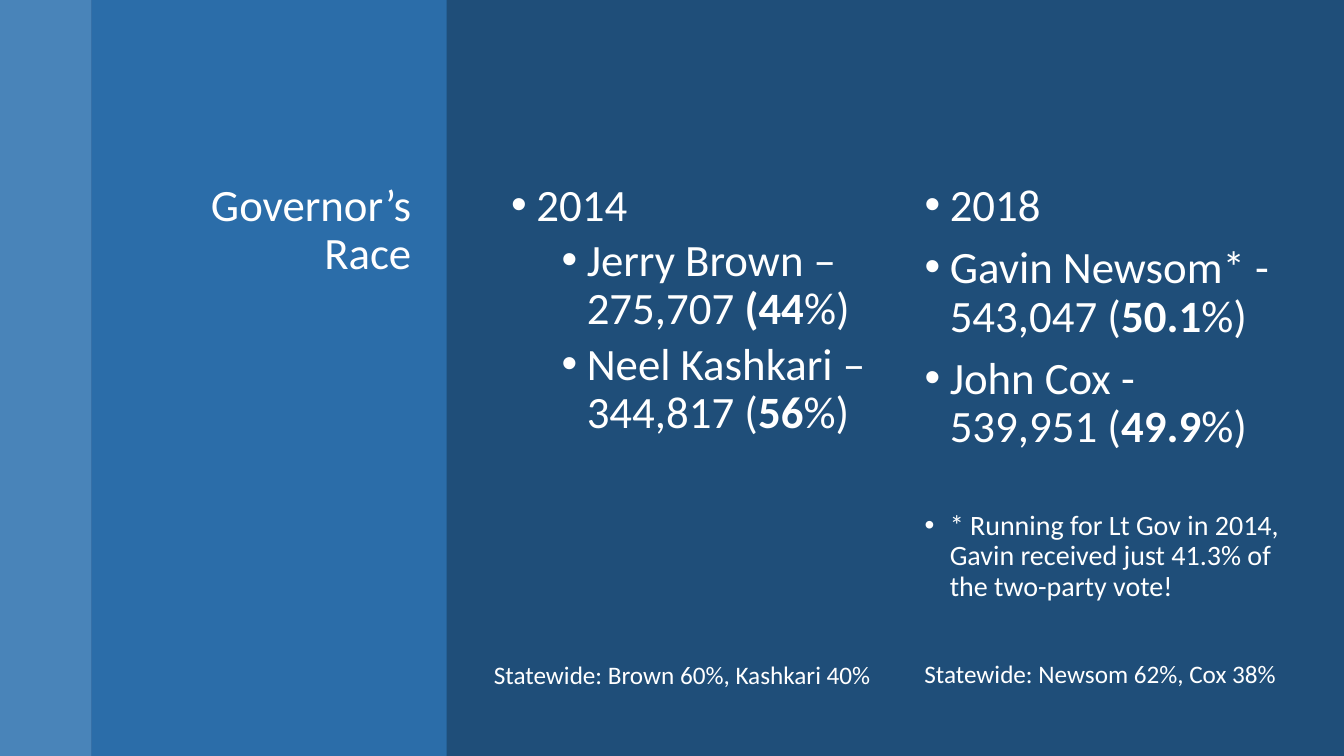
from lxml import etree
from pptx import Presentation
from pptx.dml.color import RGBColor
from pptx.enum.shapes import MSO_SHAPE
from pptx.enum.text import MSO_ANCHOR, MSO_AUTO_SIZE, PP_ALIGN
from pptx.oxml.ns import qn
from pptx.util import Inches, Pt

RECTANGLE = MSO_SHAPE.RECTANGLE
TOP = MSO_ANCHOR.TOP
NO_FIT = MSO_AUTO_SIZE.NONE
RIGHT, LEFT = PP_ALIGN.RIGHT, PP_ALIGN.LEFT

NAVY = RGBColor(0x1F, 0x4E, 0x79)
SKY = RGBColor(0x5B, 0x9B, 0xD5)
BLUE = RGBColor(0x2E, 0x75, 0xB6)
WHITE = RGBColor(0xFF, 0xFF, 0xFF)

WIDTH, HEIGHT = 13.33, 7.5
CONTENT_TOP = 1.76
INDENT = 0.25
TEXT = {"name": "Calibri", "color": WHITE, "bold": False}

RACE_2014 = [
    (0, 32, 0, [("2014", False)]),
    (1, 32, 5, [("Jerry Brown – 275,707 ", False), ("(44", True), ("%)", False)]),
    (1, 32, 5, [("Neel Kashkari – 344,817 (", False), ("56", True), ("%)", False)]),
]
RACE_2018 = [
    (0, 32, 0, [("2018", False)]),
    (0, 32, 10, [("Gavin Newsom* - 543,047 (", False), ("50.1", True), ("%)", False)]),
    (0, 32, 10, [("John Cox - 539,951 (", False), ("49.9", True), ("%)", False)]),
    (0, 20, 42, [("* Running for Lt Gov in 2014, Gavin received just 41.3% of "
                  "the two-party vote!", False)]),
]


def place(shape, box):
    """Move a shape to a box of left, top, width and height in inches."""
    for side, length in zip(("left", "top", "width", "height"), box):
        setattr(shape, side, Inches(length))


def format_font(font, **changes):
    """Apply the common text format with changes to a font."""
    for attribute, value in {**TEXT, **changes}.items():
        if attribute == "color":
            font.color.rgb = value
        else:
            setattr(font, attribute, value)


def format_frame(frame, **changes):
    """Anchor a frame at the top, without fitting its text."""
    settings = {"word_wrap": True, "auto_size": NO_FIT, "vertical_anchor": TOP}
    for attribute, value in {**settings, **changes}.items():
        setattr(frame, attribute, value)


def add_band(slide, box, color, opacity):
    """Add a translucent vertical band."""
    band = slide.shapes.add_shape(RECTANGLE, *map(Inches, box))
    band.shadow.inherit = False
    band.fill.solid()
    band.fill.fore_color.rgb = color
    band.line.fill.background()
    tint = band.fill._xPr.find(f".//{qn('a:srgbClr')}")
    etree.SubElement(tint, qn("a:alpha"), val=str(opacity * 1000))
    tree = slide.shapes._spTree
    tree.remove(band._element)
    tree.insert(2 + sum(box[0] > 0 for _ in range(1)), band._element)


def fill_title(title, box, wording):
    """Write the right-aligned title into its box."""
    place(title, box)
    format_frame(title.text_frame)
    title.text_frame.text = wording
    paragraph = title.text_frame.paragraphs[0]
    paragraph.alignment = RIGHT
    paragraph.line_spacing = 0.9
    format_font(paragraph.runs[0].font, size=Pt(32))


def set_bullet(paragraph, level):
    """Give a paragraph a round bullet with a hanging indent."""
    paragraph.level = level
    properties = paragraph._p.get_or_add_pPr()
    properties.set("marL", str(Inches(INDENT * (1 + 2 * level))))
    properties.set("indent", str(-Inches(INDENT)))
    etree.SubElement(properties, qn("a:buFont"), typeface="Arial")
    etree.SubElement(properties, qn("a:buChar"), char="•")


def fill_race(body, box, results):
    """Write one year's results as a bulleted list."""
    place(body, box)
    frame = body.text_frame
    format_frame(frame)
    for number, (level, size, gap, pieces) in enumerate(results):
        paragraph = frame.add_paragraph() if number else frame.paragraphs[0]
        set_bullet(paragraph, level)
        paragraph.alignment = LEFT
        paragraph.line_spacing = 0.9
        paragraph.space_before = Pt(gap)
        for wording, bold in pieces:
            run = paragraph.add_run()
            run.text = wording
            format_font(run.font, size=Pt(size), bold=bold)


def add_statewide(slide, box, wording):
    """Add a one-line statewide result."""
    frame = slide.shapes.add_textbox(*map(Inches, box)).text_frame
    format_frame(frame, word_wrap=False, auto_size=MSO_AUTO_SIZE.SHAPE_TO_FIT_TEXT)
    frame.text = wording
    format_font(frame.paragraphs[0].runs[0].font, size=Pt(18))


def build_race_slide(presentation):
    """Build the slide comparing both governor's races."""
    slide = presentation.slides.add_slide(presentation.slide_layouts[3])
    slide.background.fill.solid()
    slide.background.fill.fore_color.rgb = NAVY
    title, race_2014, race_2018 = slide.placeholders
    add_band(slide, (0, 0, 0.91, HEIGHT), SKY, 70)
    add_band(slide, (0.91, 0, 3.52, HEIGHT), BLUE, 80)
    fill_title(title, (1.09, CONTENT_TOP, 3.09, 4.92), "Governor’s Race")
    fill_race(race_2014, (4.97, CONTENT_TOP, 3.74, 4.72), RACE_2014)
    fill_race(race_2018, (9.07, CONTENT_TOP, 3.74, 4.92), RACE_2018)
    add_statewide(slide, (9.07, 6.48, 3.73, 0.4), "Statewide: Newsom 62%, Cox 38%")
    add_statewide(slide, (4.8, 6.49, 3.98, 0.4), "Statewide: Brown 60%, Kashkari 40%")


def main():
    """Create and save the presentation."""
    presentation = Presentation()
    presentation.slide_width = Inches(WIDTH)
    presentation.slide_height = Inches(HEIGHT)
    build_race_slide(presentation)
    presentation.save("out.pptx")


if __name__ == "__main__":
    main()
